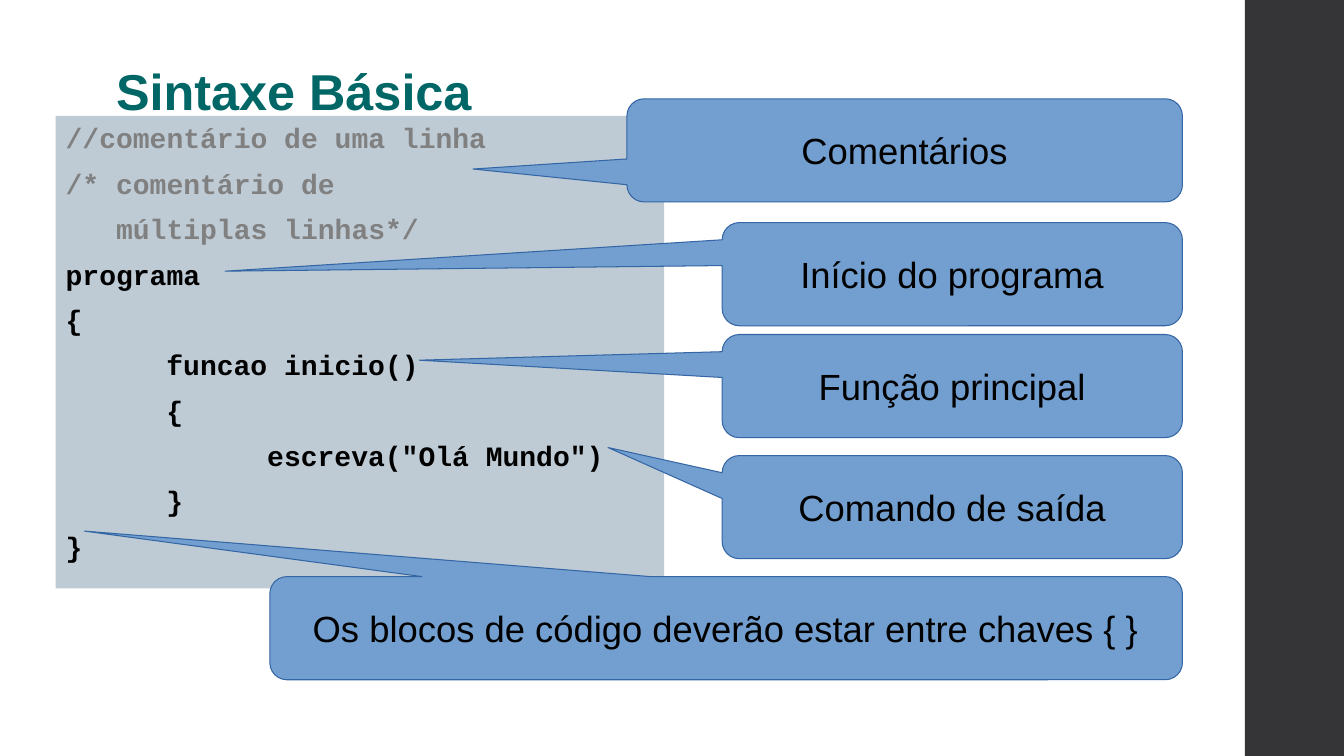
from dataclasses import dataclass

from lxml.etree import SubElement
from pptx import Presentation
from pptx.dml.color import RGBColor
from pptx.enum.shapes import MSO_SHAPE
from pptx.enum.text import MSO_ANCHOR, MSO_AUTO_SIZE, PP_ALIGN
from pptx.oxml.ns import qn
from pptx.util import Cm, Pt


@dataclass(frozen=True)
class Theme:
    sans: str = "Arial"
    mono: str = "Courier New"
    title: RGBColor = RGBColor(0x00, 0x66, 0x66)
    text: RGBColor = RGBColor(0x00, 0x00, 0x00)
    comment: RGBColor = RGBColor(0x80, 0x80, 0x80)
    code_fill: RGBColor = RGBColor(0xBE, 0xCB, 0xD5)
    callout_fill: RGBColor = RGBColor(0x72, 0x9F, 0xCF)
    callout_line: RGBColor = RGBColor(0x34, 0x65, 0xA4)
    sidebar: RGBColor = RGBColor(0x35, 0x35, 0x37)
    title_size: Pt = Pt(36)
    code_size: Pt = Pt(20)
    callout_size: Pt = Pt(26)


@dataclass(frozen=True)
class Box:
    left: float
    top: float
    width: float
    height: float


THEME = Theme()
PAGE = Box(0, 0, 33.87, 19.05)
COMMENT_LINES = 3
CODE = [
    "//comentário de uma linha",
    "/* comentário de",
    "   múltiplas linhas*/",
    "programa",
    "{",
    "\tfuncao inicio()",
    "\t{",
    '\t\tescreva("Olá Mundo")',
    "\t}",
    "}",
]
CALLOUT_HEIGHT = 2.6
CALLOUTS = [
    ("Comentários", 0, 14, (-0.777, 0.181)),
    ("Início do programa", 3.12, 11.6, (-1.58, -0.029)),
    ("Função principal", 5.94, 11.6, (-1.158, -0.251)),
    ("Comando de saída", 8.99, 11.6, (-0.748, -0.578)),
    ("Os blocos de código deverão estar entre chaves { }", 12.04, 23, (-0.703, -0.941)),
]


def place(sp, box):
    sp.left, sp.top = Cm(box.left), Cm(box.top)
    sp.width, sp.height = Cm(box.width), Cm(box.height)


def format_runs(p, font, size, color, bold=False):
    for r in p.runs:
        r.font.name = font
        r.font.size = size
        r.font.color.rgb = color
        r.font.bold = bold


def add_sidebar(s, box):
    sp = s.shapes.add_shape(
        MSO_SHAPE.RECTANGLE, Cm(box.left), Cm(box.top), Cm(box.width), Cm(box.height)
    )
    sp.shadow.inherit = False
    sp.fill.solid()
    sp.fill.fore_color.rgb = THEME.sidebar
    sp.line.fill.background()


def fill_title(s, box):
    sp = s.shapes.title
    place(sp, box)
    tf = sp.text_frame
    tf.text = "Sintaxe Básica"
    tf.auto_size = MSO_AUTO_SIZE.NONE
    tf.vertical_anchor = MSO_ANCHOR.BOTTOM
    p = tf.paragraphs[0]
    p.alignment = PP_ALIGN.LEFT
    p.line_spacing = 0.9
    format_runs(p, THEME.sans, THEME.title_size, THEME.title, True)


def fill_code(s, box):
    sp = s.placeholders[1]
    place(sp, box)
    sp.fill.solid()
    sp.fill.fore_color.rgb = THEME.code_fill
    tf = sp.text_frame
    tf.text = "\n".join(CODE)
    tf.auto_size = MSO_AUTO_SIZE.NONE
    for i, p in enumerate(tf.paragraphs):
        p.space_before = Pt(8.4)
        pPr = p._p.get_or_add_pPr()
        pPr.set("marL", "0")
        pPr.set("indent", "0")
        pPr.set("defTabSz", str(Cm(2.54)))
        SubElement(pPr, qn("a:buNone"))
        color = THEME.comment if i < COMMENT_LINES else THEME.text
        format_runs(p, THEME.mono, THEME.code_size, color, True)


def add_callouts(s, box):
    for text, offset, width, tip in CALLOUTS:
        sp = s.shapes.add_shape(
            MSO_SHAPE.ROUNDED_RECTANGULAR_CALLOUT,
            Cm(box.left + box.width - width),
            Cm(box.top + offset),
            Cm(width),
            Cm(CALLOUT_HEIGHT),
        )
        sp.adjustments[0], sp.adjustments[1] = tip
        sp.shadow.inherit = False
        sp.fill.solid()
        sp.fill.fore_color.rgb = THEME.callout_fill
        sp.line.color.rgb = THEME.callout_line
        sp.line.width = Pt(0.75)
        tf = sp.text_frame
        tf.text = text
        tf.word_wrap = False
        tf.vertical_anchor = MSO_ANCHOR.MIDDLE
        p = tf.paragraphs[0]
        p.alignment = PP_ALIGN.CENTER
        format_runs(p, THEME.sans, THEME.callout_size, THEME.text)


def build_syntax_slide(prs, box):
    s = prs.slides.add_slide(prs.slide_layouts[1])
    add_sidebar(s, Box(box.left + box.width - 2.5, box.top, 2.5, box.height))
    fill_title(s, Box(box.left + 2.67, box.top + 0.03, 22.22, 3.17))
    fill_code(s, Box(box.left + 1.4, box.top + 2.92, 15.34, 11.91))
    add_callouts(s, Box(box.left + 6.8, box.top + 2.49, 23, 14.64))


def main():
    prs = Presentation()
    prs.slide_width, prs.slide_height = Cm(PAGE.width), Cm(PAGE.height)
    build_syntax_slide(prs, PAGE)
    prs.save("out.pptx")


if __name__ == "__main__":
    main()
